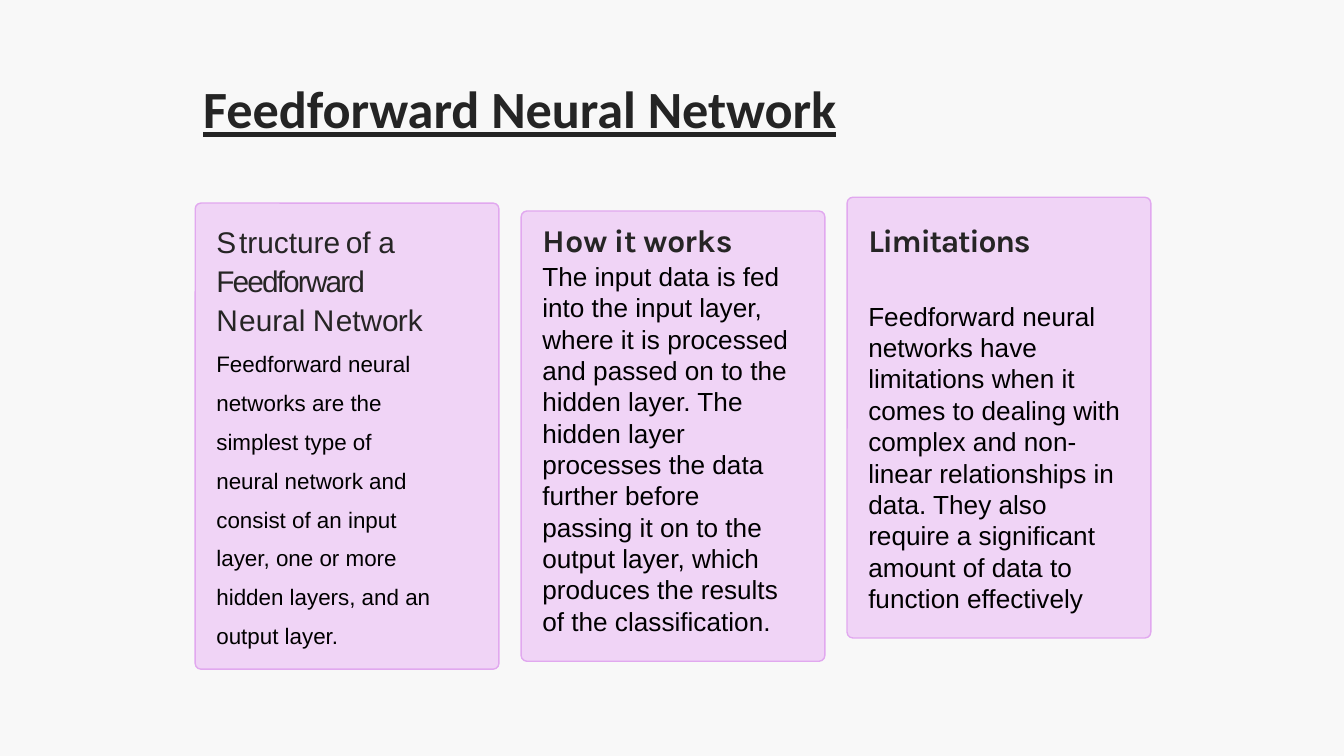
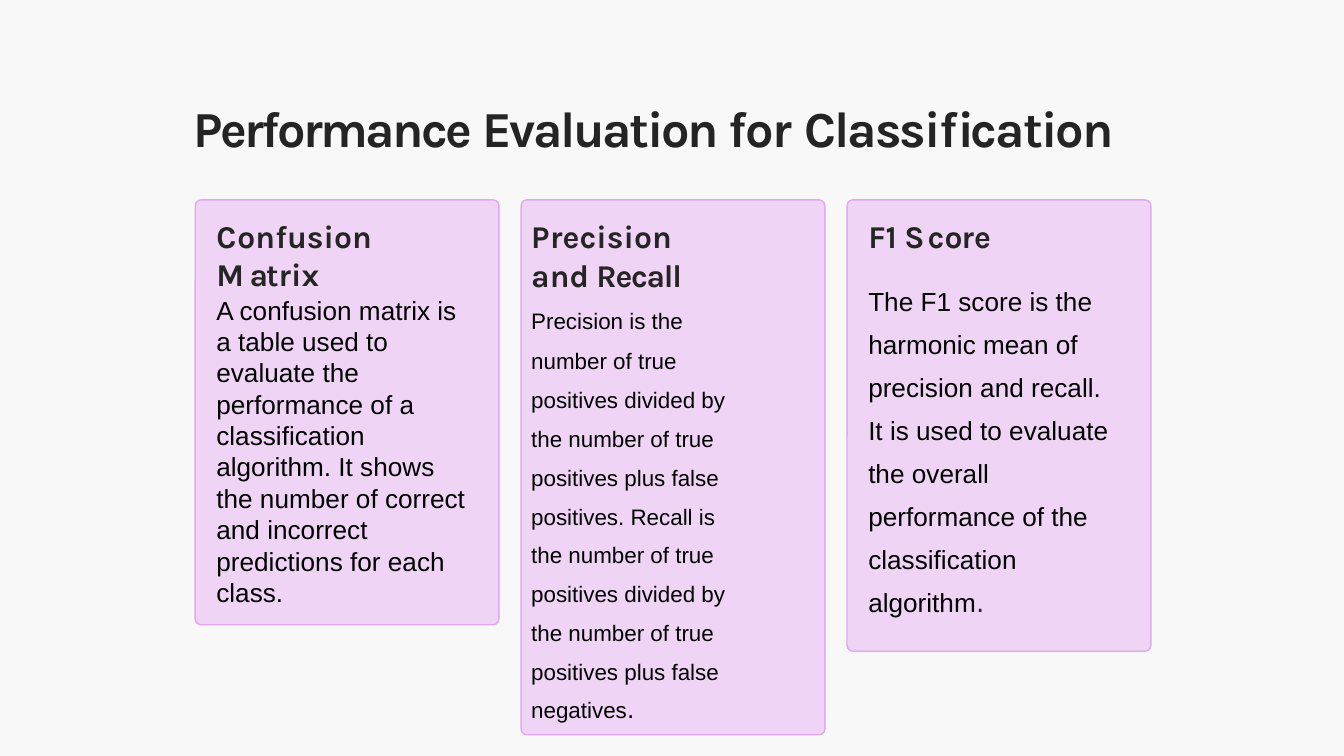
import pptx
import pptx.dml.color
import pptx.enum.shapes
import pptx.util

Cm = pptx.util.Cm
Pt = pptx.util.Pt
RGBColor = pptx.dml.color.RGBColor

BACKGROUND = RGBColor(0xF8, 0xF8, 0xF8)
CARD_FILL = RGBColor(0xF0, 0xD4, 0xF6)
CARD_LINE = RGBColor(0xE1, 0xA8, 0xEF)
TITLE_COLOR = RGBColor(0x24, 0x24, 0x24)
HEADING_COLOR = RGBColor(0x26, 0x25, 0x25)
BODY_COLOR = RGBColor(0x00, 0x00, 0x00)

CARD_LEFT, CARD_PITCH, CARD_WIDTH = 3.69, 6.16, 5.74
CARD_RADIUS = 0.11

TITLE = {"name": "Karla", "size": Pt(27), "bold": True}
UNDERLINED_TITLE = {"name": "Calibri", "size": Pt(28), "bold": True, "underline": True}
HEADING = {"name": "Karla", "size": Pt(17), "bold": True}
PLAIN_HEADING = {"name": "Arial", "size": Pt(16)}
BODY = {"name": "Arial", "size": Pt(14)}
SMALL_BODY = {"name": "Arial", "size": Pt(12)}

TIGHT = {"space_before": Pt(0.8)}
AFTER_GAP = {"space_before": Pt(22.2)}
FIXED_LINES = {"space_before": Pt(0.7), "line_spacing": Pt(20.8)}
LOOSE_LINES = {"space_before": Pt(10.5), "line_spacing": 1.37}

# Letter spacing in points: whole words first, then single letters,
# where a letter that ends a word may carry the space after it.
WORD_TRACKING = {
    "Performance": -1.4, "Evaluation": -1.3, "for": -0.8, "Classification": -1,
    "Feedforward": -1, "Limitations": -0.7, "Recall": -0.7,
}
LETTER_TRACKING = {
    "C": 0.5, "F": -1.4, "H": 0.4, "M": 2.9, "N": 0.7, "P": 0.3, "S": 1.6,
    "a": -1.1, "c": -0.8, "e": -1.8, "f": -0.7, "i": -0.7, "k": -0.7, "n": -0.9,
    "o": -0.5, "r": -0.5, "s": 0, "t": -1.1, "u": -0.9, "w": -1.2, "x": -1.1,
    "1 ": -0.3, "a ": -0.7, "d ": -0.4, "e ": -1.4, "f ": -0.3, "l ": -0.4,
    "n ": -0.7, "t ": -0.8, "w ": -1,
}


def tracked(text):
    """Split text into (piece, letter spacing) pairs."""
    pieces = []
    words = text.split(" ")
    for index, word in enumerate(words):
        space = " " if index < len(words) - 1 else ""
        if word in WORD_TRACKING:
            pieces.append((word + space, WORD_TRACKING[word]))
            continue
        letters = list(word[:-1]) + [word[-1] + space]
        pieces += [(letter, LETTER_TRACKING[letter]) for letter in letters]
    return pieces


class Deck:
    def __init__(self):
        self.presentation = pptx.Presentation()
        self.presentation.slide_width = Cm(25.4)
        self.presentation.slide_height = Cm(14.29)
        self.slide = None

    def add_slide(self):
        self.slide = self.presentation.slides.add_slide(self.presentation.slide_layouts[6])
        self.slide.background.fill.solid()
        self.slide.background.fill.fore_color.rgb = BACKGROUND

    def add_frame(self, box, right_inset=0, wrap=True):
        frame = self.slide.shapes.add_textbox(*map(Cm, box)).text_frame
        settings = {
            "margin_left": Cm(0.03), "margin_top": Cm(0.03),
            "margin_right": Cm(right_inset), "margin_bottom": 0, "word_wrap": wrap,
        }
        for name, value in settings.items():
            setattr(frame, name, value)
        return frame

    def add_run(self, paragraph, text, font_format, color, tracking=0):
        run = paragraph.add_run()
        run.text = text
        for name, value in font_format.items():
            setattr(run.font, name, value)
        run.font.color.rgb = color
        if tracking:
            run._r.get_or_add_rPr().set("spc", str(round(tracking * 100)))

    def add_title(self, box, pieces, font_format):
        paragraph = self.add_frame(box, wrap=False).paragraphs[0]
        for text, tracking in pieces:
            self.add_run(paragraph, text, font_format, TITLE_COLOR, tracking)

    def add_card(self, column, top, height):
        left = CARD_LEFT + column * CARD_PITCH
        card = self.slide.shapes.add_shape(
            pptx.enum.shapes.MSO_SHAPE.ROUNDED_RECTANGLE,
            Cm(left), Cm(top), Cm(CARD_WIDTH), Cm(height))
        card.adjustments[0] = CARD_RADIUS / CARD_WIDTH
        card.shadow.inherit = False
        card.fill.solid()
        card.fill.fore_color.rgb = CARD_FILL
        card.line.color.rgb = CARD_LINE
        card.line.width = Pt(0.75)

    def add_card_text(self, column, top, width, height, heading, body, spacing,
                      heading_format=HEADING, body_format=BODY,
                      offset=0.37, right_inset=0, full_stop=None):
        """Put a heading and body paragraphs on a card; full_stop is (format, colour, tracking)."""
        left = CARD_LEFT + column * CARD_PITCH + offset
        frame = self.add_frame((left, top, width, height), right_inset)
        paragraph = frame.paragraphs[0]
        if spacing is FIXED_LINES:
            paragraph.line_spacing = spacing["line_spacing"]
        for text, tracking in tracked(heading):
            self.add_run(paragraph, text, heading_format, HEADING_COLOR, tracking)
        for text in body:
            paragraph = frame.add_paragraph()
            for name, value in spacing.items():
                setattr(paragraph, name, value)
            self.add_run(paragraph, text, body_format, BODY_COLOR)
        if full_stop:
            self.add_run(paragraph, ".", *full_stop)


def add_network_slide(deck):
    deck.add_slide()
    deck.add_title((3.81, 1.42, 13.16, 1.27),
                   [("Feedforward Neural Network", 0)], UNDERLINED_TITLE)
    for column, (top, height) in enumerate([(3.84, 8.81), (3.99, 8.51), (3.73, 8.33)]):
        deck.add_card(column, top, height)
    text_top = 4.14
    deck.add_card_text(
        0, text_top, 4.78, 8.28, "Structure of a Feedforward Neural Network",
        ["Feedforward neural networks are the simplest type of neural network and "
         "consist of an input layer, one or more hidden layers, and an output layer."],
        FIXED_LINES, PLAIN_HEADING, SMALL_BODY, right_inset=0.61)
    deck.add_card_text(
        1, text_top, 4.8, 7.98, "How it works",
        ["The input data is fed into the input layer, where it is processed and passed "
         "on to the hidden layer. The hidden layer processes the data further before "
         "passing it on to the output layer, which produces the results of the "
         "classification."],
        TIGHT)
    deck.add_card_text(
        2, text_top, 4.83, 7.54, "Limitations",
        ["Feedforward neural networks have limitations when it comes to dealing with "
         "complex and non-linear relationships in data. They also require a significant "
         "amount of data to function effectively"],
        AFTER_GAP)


def add_evaluation_slide(deck):
    deck.add_slide()
    deck.add_title((3.63, 1.8, 17.55, 1.22),
                   tracked("Performance Evaluation for Classification"), TITLE)
    for column, height in enumerate([8.03, 10.11, 8.53]):
        deck.add_card(column, 3.78, height)
    text_top = 4.06
    deck.add_card_text(
        0, text_top, 4.9, 6.78, "Confusion Matrix",
        ["A confusion matrix is a table used to evaluate the performance of a "
         "classification algorithm. It shows the number of correct and incorrect "
         "predictions for each class."],
        TIGHT, right_inset=0.08)
    deck.add_card_text(
        1, text_top, 5.16, 9.78, "Precision and Recall",
        ["Precision is the",
         "number of true positives divided by the number of true positives plus false "
         "positives. Recall is the number of true positives divided by the number of "
         "true positives plus false negatives"],
        FIXED_LINES, body_format=SMALL_BODY, offset=0.16, right_inset=1.38,
        full_stop=(BODY, BODY_COLOR))
    deck.add_card_text(
        2, text_top, 4.83, 7.7, "F1 Score",
        ["The F1 score is the harmonic mean of precision and recall. It is used to "
         "evaluate the overall performance of the classification algorithm"],
        LOOSE_LINES,
        full_stop=({"name": "DejaVu Sans", "size": Pt(14)}, HEADING_COLOR, -1.2))


def main():
    deck = Deck()
    add_network_slide(deck)
    add_evaluation_slide(deck)
    deck.presentation.save("out.pptx")


if __name__ == "__main__":
    main()
